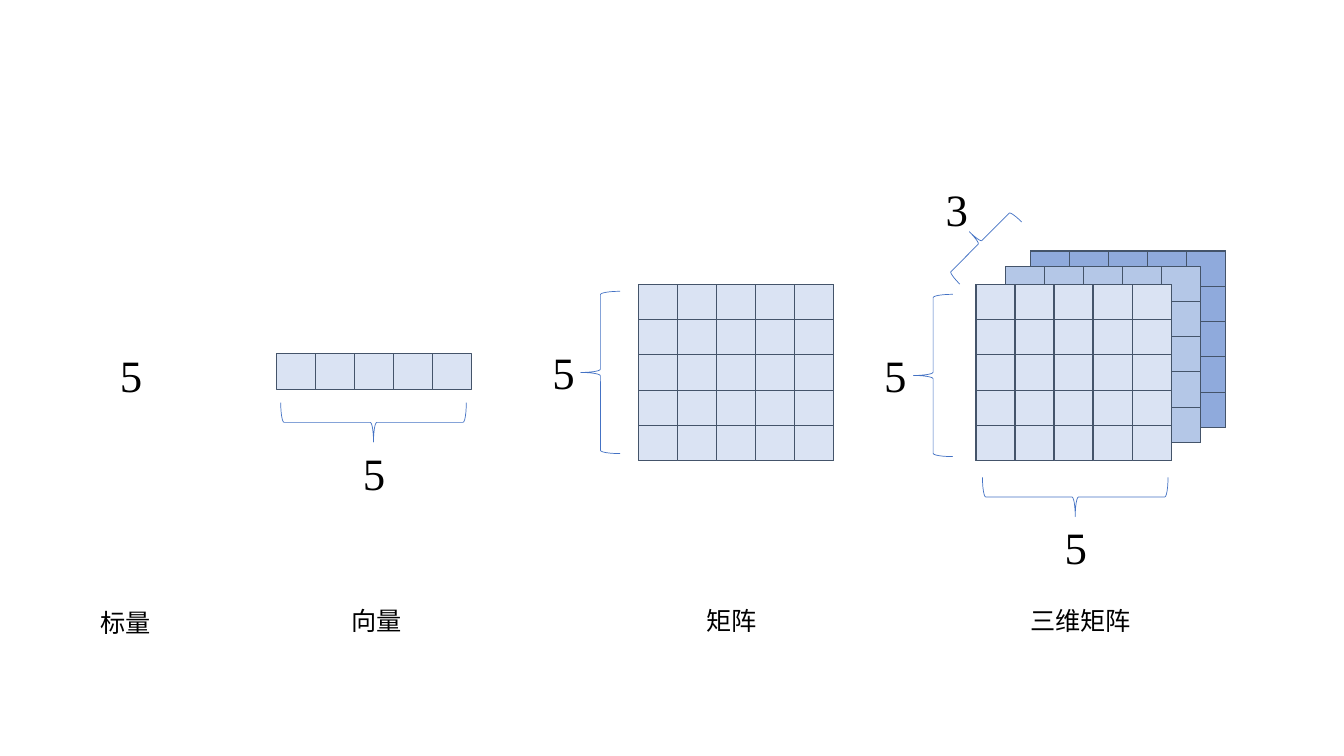
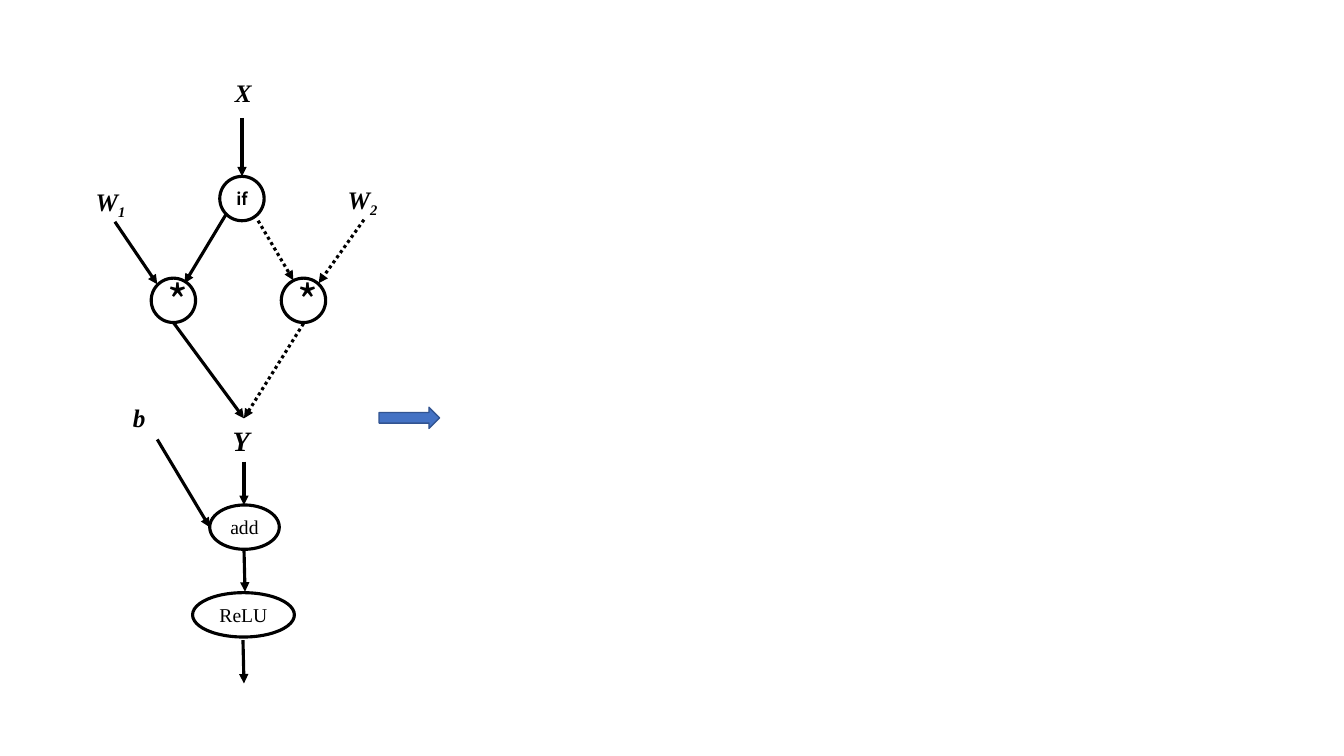
"""Build two slides: tensor dimensions and a branching computation graph."""
from lxml.etree import SubElement
from pptx import Presentation
from pptx.dml.color import RGBColor
from pptx.enum.dml import MSO_LINE
from pptx.enum.shapes import MSO_CONNECTOR, MSO_SHAPE
from pptx.enum.text import MSO_ANCHOR, PP_ALIGN
from pptx.oxml.ns import qn
from pptx.util import Inches, Pt

COLORS = {
    "black": "000000",
    "white": "FFFFFF",
    "blue": "4472C4",
    "dark_blue": "325491",
    "cell_line": "44546A",
    "front": "DAE3F3",
    "middle": "B4C7E7",
    "back": "8FAADC",
}
SERIF = "Times New Roman"
SANS = "Noto Sans CJK SC"


def add_shape(slide, kind, box, fill, line, weight):
    shape = slide.shapes.add_shape(kind, *[Inches(length) for length in box])
    shape.shadow.inherit = False
    if fill:
        shape.fill.solid()
        shape.fill.fore_color.rgb = RGBColor.from_string(COLORS[fill])
    else:
        shape.fill.background()
    shape.line.color.rgb = RGBColor.from_string(COLORS[line])
    shape.line.width = Pt(weight)
    return shape


def set_text(shape, text, font_name, size, bold=False, italic=False, subscript=""):
    shape.text_frame.word_wrap = True
    paragraph = shape.text_frame.paragraphs[0]
    paragraph.text = text
    if subscript:
        paragraph.add_run().text = subscript
    for run in paragraph.runs:
        run.font.name = font_name
        run.font.size = Pt(size)
        run.font.bold = bold
        run.font.italic = italic
        run.font.color.rgb = RGBColor.from_string(COLORS["black"])
        SubElement(run.font._element, qn("a:ea"), typeface=font_name)
    if subscript:
        paragraph.runs[1].font._element.set("baseline", "-25000")


presentation = Presentation()
presentation.slide_width = Inches(13.33)
presentation.slide_height = Inches(7.5)
blank_layout = presentation.slide_layouts[6]

tensor_slide = presentation.slides.add_slide(blank_layout)
cell_width, cell_height, columns = 0.387, 0.35, 5
grids = [
    (10.22, 2.49, 5, "back"),
    (9.97, 2.64, 5, "middle"),
    (9.68, 2.82, 5, "front"),
    (6.33, 2.82, 5, "front"),
    (2.74, 3.51, 1, "front"),
]
for left, top, rows, fill in grids:
    if rows > 1:
        panel = (left, top, columns * cell_width, rows * cell_height)
        add_shape(tensor_slide, MSO_SHAPE.RECTANGLE, panel, fill, "cell_line", 0.75)
    for row in range(rows):
        for column in range(columns):
            if fill == "front" or row == 0 or column == columns - 1:
                cell = (left + column * cell_width, top + row * cell_height, cell_width, cell_height)
                add_shape(tensor_slide, MSO_SHAPE.RECTANGLE, cell, fill, "cell_line", 0.75)

braces = [
    ((3.51, 3.27, 0.39, 1.84), 270),
    ((5.76, 2.89, 0.39, 1.61), 0),
    ((9.06, 2.92, 0.39, 1.61), 0),
    ((9.57, 1.97, 0.3, 0.87), 44.9),
    ((10.47, 4.01, 0.39, 1.84), 270),
]
for box, rotation in braces:
    brace = add_shape(tensor_slide, MSO_SHAPE.LEFT_BRACE, box, None, "blue", 0.5)
    brace.rotation = rotation

sizes = [
    ("5", 1.09, 3.4),
    ("5", 3.5, 4.37),
    ("5", 5.38, 3.37),
    ("5", 8.67, 3.4),
    ("3", 9.28, 1.75),
    ("5", 10.46, 5.11),
]
for text, left, top in sizes:
    size_label = tensor_slide.shapes.add_textbox(Inches(left), Inches(top), Inches(1), Inches(0.64))
    set_text(size_label, text, SERIF, 32)

captions = [("标量", 0.9, 5.98), ("向量", 3.39, 5.96), ("矩阵", 6.91, 5.96), ("三维矩阵", 10.12, 5.96)]
for text, left, top in captions:
    caption = tensor_slide.shapes.add_textbox(Inches(left), Inches(top), Inches(1.45), Inches(0.4))
    set_text(caption, text, SANS, 18)

graph_slide = presentation.slides.add_slide(blank_layout)
nodes = [
    ("if", 2.18, 1.75, 0.44, SANS, 12),
    ("*", 1.5, 2.76, 0.44, SANS, 32),
    ("*", 2.79, 2.76, 0.44, SANS, 32),
    ("add", 2.08, 5.01, 0.69, SERIF, 14),
    ("ReLU", 1.91, 5.88, 1.01, SERIF, 14),
]
for text, left, top, width, font_name, size in nodes:
    node = add_shape(graph_slide, MSO_SHAPE.OVAL, (left, top, width, 0.44), "white", "black", 2.25)
    set_text(node, text, font_name, size, bold=text == "if")
    node.text_frame.word_wrap = text != "if"
    node.text_frame.vertical_anchor = MSO_ANCHOR.MIDDLE
    node.text_frame.paragraphs[0].alignment = PP_ALIGN.CENTER

variables = [
    ("X", "", 2.23, 0.72, 0.35, 0.4, 18),
    ("W", "1", 0.85, 1.8, 0.58, 0.4, 18),
    ("W", "2", 3.35, 1.78, 0.71, 0.4, 18),
    ("b", "", 1.22, 3.94, 0.35, 0.4, 18),
    ("Y", "", 2.21, 4.15, 0.41, 0.44, 20),
]
for text, subscript, left, top, width, height, size in variables:
    variable = graph_slide.shapes.add_textbox(Inches(left), Inches(top), Inches(width), Inches(height))
    set_text(variable, text, SERIF, size, bold=True, italic=True, subscript=subscript)

edges = [
    (2.4, 1.17, 2.4, 1.75, False),
    (2.24, 2.13, 1.83, 2.81, False),
    (1.14, 2.2, 1.56, 2.82, False),
    (1.72, 3.2, 2.42, 4.15, False),
    (2.56, 2.19, 2.91, 2.78, True),
    (3.61, 2.18, 3.16, 2.81, True),
    (3.01, 3.21, 2.42, 4.15, True),
    (2.42, 4.58, 2.42, 5.01, False),
    (1.56, 4.36, 2.08, 5.23, False),
    (2.42, 5.44, 2.43, 5.87, False),
    (2.41, 6.35, 2.42, 6.78, False),
]
for *ends, dotted in edges:
    edge = graph_slide.shapes.add_connector(MSO_CONNECTOR.STRAIGHT, *[Inches(end) for end in ends])
    edge.line.color.rgb = RGBColor.from_string(COLORS["black"])
    edge.line.width = Pt(2.25)
    if dotted:
        edge.line.dash_style = MSO_LINE.ROUND_DOT
    SubElement(edge.line._get_or_add_ln(), qn("a:tailEnd"), type="triangle")
    SubElement(edge._element.spPr, qn("a:effectLst"))

add_shape(graph_slide, MSO_SHAPE.RIGHT_ARROW, (3.76, 4.04, 0.6, 0.21), "blue", "dark_blue", 1)

presentation.save("out.pptx")
